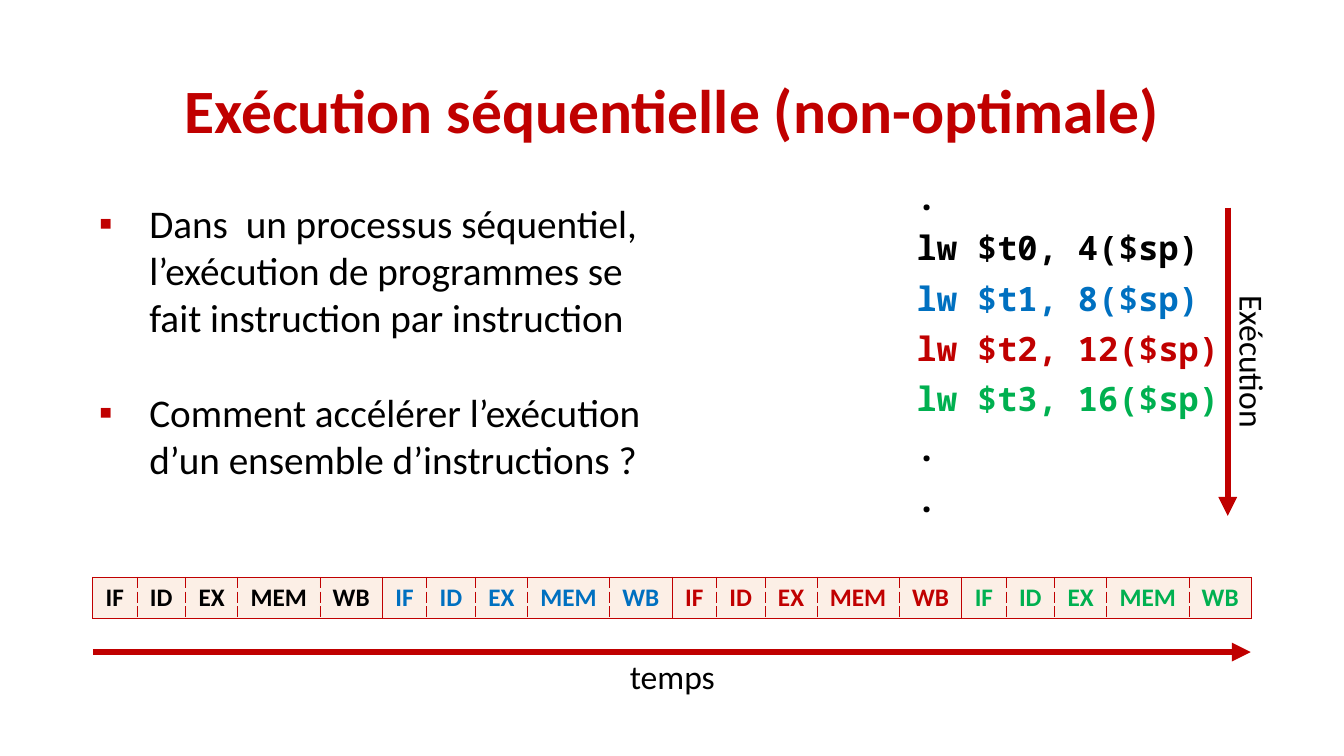
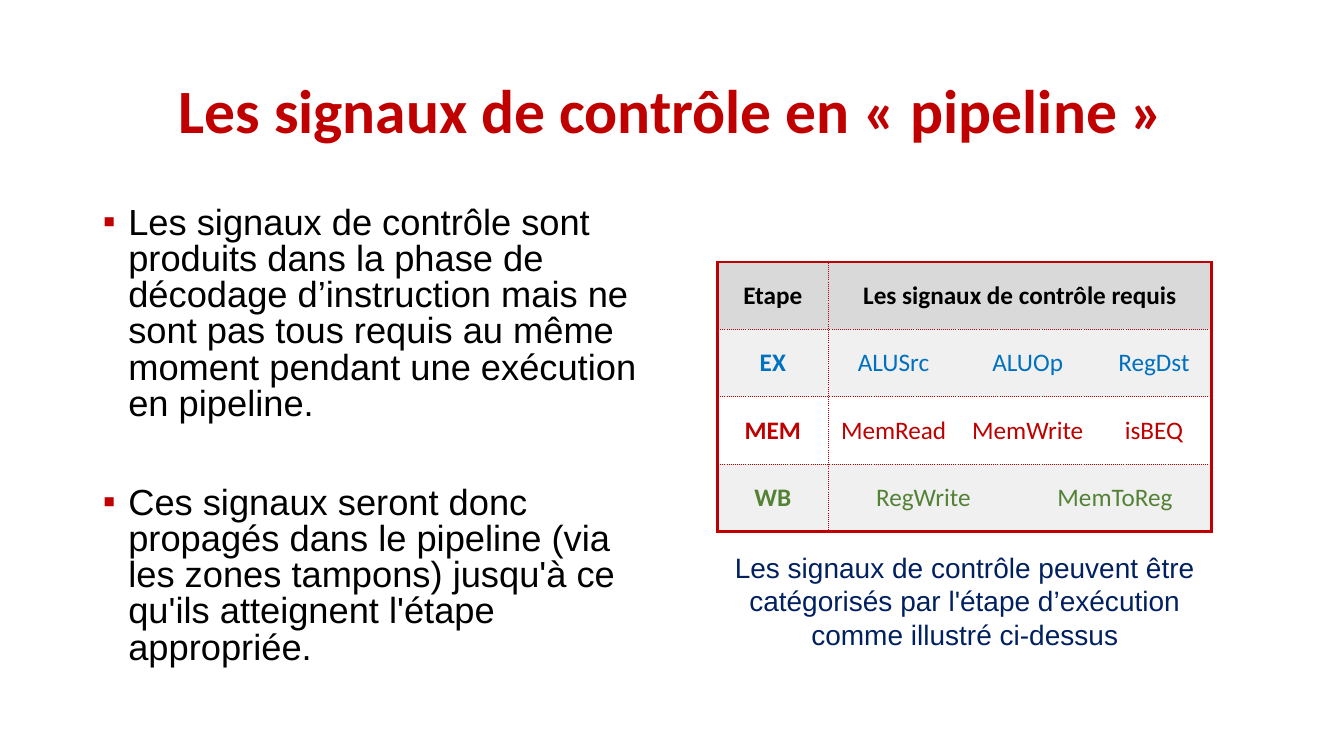
from lxml import etree
from pptx import Presentation
from pptx.dml.color import RGBColor
from pptx.enum.dml import MSO_THEME_COLOR
from pptx.enum.shapes import MSO_CONNECTOR
from pptx.enum.text import MSO_ANCHOR, MSO_AUTO_SIZE, PP_ALIGN
from pptx.oxml.ns import qn
from pptx.util import Cm, Pt

CENTER, LEFT = PP_ALIGN.CENTER, PP_ALIGN.LEFT
MIDDLE = MSO_ANCHOR.MIDDLE
NO_FIT = MSO_AUTO_SIZE.NONE
STRAIGHT = MSO_CONNECTOR.STRAIGHT

HEX = {
    "red": "C00000", "blue": "0070C0", "green": "00B050", "olive": "548235",
    "navy": "002060", "black": "000000", "white": "FFFFFF",
    "head": "D9D9D9", "band": "F0F0F0", "peach": "F4B183",
}
SANS, ARIAL, MONO = "Calibri", "Arial", "Noto Sans Mono"

# Lengths are in cm, borders are (points, dash)
TITLE = (2.34, 1.02, 29.21, 3.68)
THIN, DASH = (1, "solid"), (0.5, "dash")
THICK, DOT = (2.25, "solid"), (1, "sysDot")

RUN = {
    "title": "Exécution séquentielle (non-optimale)",
    "items": [
        "Dans  un processus séquentiel, l’exécution de programmes se fait "
        "instruction par instruction",
        "Comment accélérer l’exécution d’un ensemble d’instructions ?",
    ],
    "code": [
        (".", "black"),
        ("lw $t0, 4($sp)", "black"),
        ("lw $t1, 8($sp)", "blue"),
        ("lw $t2, 12($sp)", "red"),
        ("lw $t3, 16($sp)", "green"),
        (".", "black"),
        (".", "black"),
    ],
    "stages": [("IF", 1.11), ("ID", 1.23), ("EX", 1.31), ("MEM", 2.07), ("WB", 1.58)],
    "order": ["black", "blue", "red", "green"],
}
PIPE = {
    "title": "Les signaux de contrôle en « pipeline »",
    "items": [
        "Les signaux de contrôle sont produits dans la phase de décodage "
        "d’instruction mais ne sont pas tous requis au même moment pendant "
        "une exécution en pipeline.",
        "Ces signaux seront donc propagés dans le pipeline (via les zones "
        "tampons) jusqu'à ce qu'ils atteignent l'étape appropriée.",
    ],
    "cols": [2.79, 3.3, 1.5, 1.96, 2.9],
    # stage, text colour, fill, signals with their column spans
    "rows": [
        ("Etape", "black", "head", [("Les signaux de contrôle requis", 4)]),
        ("EX", "blue", "band", [("ALUSrc", 1), ("ALUOp", 2), ("RegDst", 1)]),
        ("MEM", "red", "white", [("MemRead", 1), ("MemWrite", 2), ("isBEQ", 1)]),
        ("WB", "olive", "band", [("RegWrite", 2), ("MemToReg", 2)]),
    ],
    "note": "Les signaux de contrôle peuvent être catégorisés par l'étape "
            "d’exécution comme illustré ci-dessus",
}


def rgb(name):
    return RGBColor.from_string(HEX[name])


def cms(nums):
    return [Cm(n) for n in nums]


def add(node, tag, **attrs):
    return etree.SubElement(node, qn(tag), attrs)


def style(para, size, color="black", face=SANS, bold=False, align=CENTER):
    para.alignment = align
    font = para.font
    font.size, font.name, font.bold = Pt(size), face, bold
    font.color.rgb = rgb(color)


def place(shape, box):
    shape.left, shape.top, shape.width, shape.height = cms(box)


def start(deck, title):
    """Add a slide with its red title."""
    slide = deck.slides.add_slide(deck.slide_layouts[1])
    head = slide.shapes.title
    place(head, TITLE)
    frame = head.text_frame
    frame.text, frame.auto_size = title, NO_FIT
    frame.vertical_anchor = MIDDLE
    para = frame.paragraphs[0]
    para.line_spacing = 0.9
    style(para, 44, "red", bold=True)
    return slide


def bullets(slide, items, box, size, face, indent, pitch, gap):
    body = slide.placeholders[1]
    place(body, box)
    frame = body.text_frame
    frame.text, frame.auto_size = "\n".join(items), NO_FIT
    for i, para in enumerate(frame.paragraphs):
        props = para._p.get_or_add_pPr()
        props.set("marL", str(Cm(indent)))
        props.set("indent", str(-Cm(indent)))
        add(add(props, "a:buClr"), "a:srgbClr", val=HEX["red"])
        add(props, "a:buChar", char="▪")
        para.line_spacing = pitch
        para.space_before = Pt(gap if i else 0)
        style(para, size, face=face, align=LEFT)


def label(slide, text, box, size=24, color="black", face=SANS):
    shape = slide.shapes.add_textbox(*cms(box))
    frame = shape.text_frame
    frame.word_wrap, frame.text = True, text
    style(frame.paragraphs[0], size, color, face)
    return shape


def arrow(slide, *ends):
    line = slide.shapes.add_connector(STRAIGHT, *cms(ends))
    line.line.color.rgb = rgb("red")
    line.line.width = Pt(4.5)
    props = line._element.spPr
    add(props.find(qn("a:ln")), "a:tailEnd", type="triangle")
    add(props, "a:effectLst")


def grid(slide, left, top, cols, rows, high):
    """Add a plain table without banding."""
    frame = slide.shapes.add_table(rows, len(cols), *cms((left, top, sum(cols), rows * high)))
    table = frame.table
    table.first_row = table.horz_banding = False
    for col, wide in zip(table.columns, cols):
        col.width = Cm(wide)
    for row in table.rows:
        row.height = Cm(high)
    return table


def paint(cell, fill, *edges):
    """Set the left, right, top and bottom borders, then the fill."""
    props = cell._tc.get_or_add_tcPr()
    for side, edge in zip("LRTB", edges):
        if edge:
            line = add(props, "a:ln" + side, w=str(Pt(edge[0])))
            add(add(line, "a:solidFill"), "a:srgbClr", val=HEX["red"])
            add(line, "a:prstDash", val=edge[1])
        else:
            add(add(props, "a:ln" + side, w="0"), "a:noFill")
    cell.fill.solid()
    cell.fill.fore_color.rgb = rgb(fill)


def write(cell, text, color, bold):
    cell.text, cell.vertical_anchor = text, MIDDLE
    style(cell.text_frame.paragraphs[0], 18, color, bold=bold)


def listing(slide, lines, box):
    shape = slide.shapes.add_textbox(*cms(box))
    frame = shape.text_frame
    frame.word_wrap, frame.margin_left = True, Cm(2.75)
    frame.text = "\n".join(text for text, _ in lines)
    for para, (_, color) in zip(frame.paragraphs, lines):
        para.line_spacing, para.space_before = 0.9, Pt(10)
        style(para, 24, color, MONO, True, LEFT)


def stages(slide, steps, colors, left, top):
    """Lay one strip of stages per instruction, end to end."""
    cols = [wide for _, wide in steps]
    last = len(steps) - 1
    for n, color in enumerate(colors):
        table = grid(slide, left + n * sum(cols), top, cols, 1, 1.04)
        for c, (name, _) in enumerate(steps):
            cell = table.cell(0, c)
            write(cell, name, color, True)
            paint(cell, "peach", DASH if c else THIN, DASH if c < last else THIN, THIN, THIN)
            tint = cell._tc.tcPr.find(qn("a:solidFill"))[0]
            add(tint, "a:alpha", val="20000")


def signals(slide, rows, cols, left, top):
    table = grid(slide, left, top, cols, len(rows), 1.7)
    for r, (stage, color, fill, names) in enumerate(rows):
        upper = DOT if r else THICK
        lower = DOT if r < len(rows) - 1 else THICK
        c = 0
        for text, span in [(stage, 1)] + names:
            cell, end = table.cell(r, c), c + span
            if span > 1:
                cell.merge(table.cell(r, end - 1))
            write(cell, text, color, c == 0 or r == 0)
            before = {0: THICK, 1: DOT}.get(c)
            after = {1: DOT, len(cols): THICK}.get(end)
            for k in range(c, end):
                paint(table.cell(r, k), fill, before if k == c else None, after if k == end - 1 or k == c else None,
                      upper, lower)
            c = end


def main():
    deck = Presentation()
    deck.slide_width, deck.slide_height = Cm(33.87), Cm(19.05)

    slide = start(deck, RUN["title"])
    bullets(slide, RUN["items"], (2.24, 4.9, 14.38, 7.44), 28, SANS, 1.27, 1, 34)
    listing(slide, RUN["code"], (20.35, 4.45, 11.2, 9.45))
    stages(slide, RUN["stages"], RUN["order"], 2.34, 14.55)
    arrow(slide, 2.34, 16.43, 31.52, 16.43)
    label(slide, "temps", (2.34, 16.41, 29.21, 1.27))
    arrow(slide, 30.94, 5.23, 30.94, 13)
    label(slide, "Exécution", (27.69, 8.48, 7.77, 1.27)).rotation = 90

    slide = start(deck, PIPE["title"])
    bullets(slide, PIPE["items"], (2.34, 5.08, 14.4, 12.09), 25.9, ARIAL, 0.64, 0.83, 45)
    signals(slide, PIPE["rows"], PIPE["cols"], 18.08, 6.6)
    label(slide, PIPE["note"], (18.08, 13.74, 12.47, 2.82), 20, "navy", ARIAL)

    deck.save("out.pptx")


if __name__ == "__main__":
    main()
